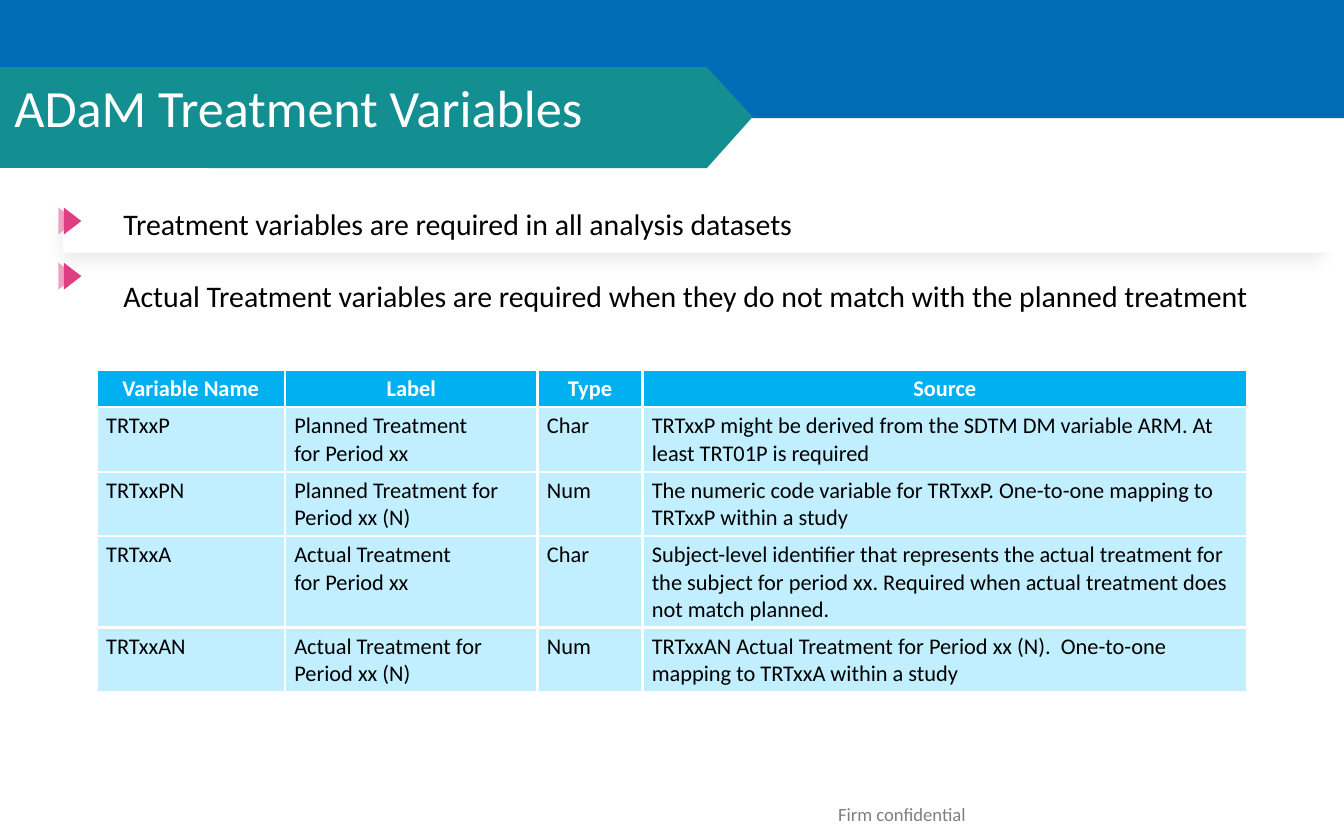
from lxml.etree import SubElement
from pptx import Presentation
from pptx.dml.color import RGBColor
from pptx.enum.shapes import MSO_SHAPE
from pptx.enum.text import MSO_ANCHOR, MSO_AUTO_SIZE, PP_ALIGN
from pptx.oxml import parse_xml
from pptx.oxml.ns import nsdecls, qn
from pptx.util import Inches, Pt

TITLE = "ADaM Treatment Variables"
POINTS = [
    "Treatment variables are required in all analysis datasets",
    "Actual Treatment variables are required when they do not match with the planned treatment",
]
ROWS = [
    ("Variable Name", "Label", "Type", "Source"),
    ("TRTxxP", "Planned Treatment\nfor Period xx", "Char",
     "TRTxxP might be derived from the SDTM DM variable ARM. At least TRT01P is required"),
    ("TRTxxPN", "Planned Treatment for Period xx (N)", "Num",
     "The numeric code variable for TRTxxP. One-to-one mapping to TRTxxP within a study"),
    ("TRTxxA", "Actual Treatment\nfor Period xx", "Char",
     "Subject-level identifier that represents the actual treatment for the subject "
     "for period xx. Required when actual treatment does not match planned."),
    ("TRTxxAN", "Actual Treatment for Period xx (N)", "Num",
     "TRTxxAN Actual Treatment for Period xx (N).  One-to-one mapping to TRTxxA within a study"),
]
FOOTER = "Firm confidential"
COLS = [1.4, 1.88, 0.78, 4.5]
LINES = [1, 2, 2, 3, 2]

FONT = "Calibri"
WHITE = RGBColor(0xFF, 0xFF, 0xFF)
BLACK = RGBColor(0, 0, 0)
GRAY = RGBColor(0x80, 0x80, 0x80)
PALE = RGBColor(0xF2, 0xF2, 0xF2)
BLUE = RGBColor(0x00, 0x6B, 0xB6)
TEAL = RGBColor(0x13, 0x8F, 0x91)
ROSE = RGBColor(0xEF, 0xA3, 0xC4)
PINK = RGBColor(0xDF, 0x3E, 0x82)
SKY = RGBColor(0x00, 0xB0, 0xF0)
ICE = RGBColor(0xC1, 0xEF, 0xFF)

deck = Presentation()
deck.slide_width, deck.slide_height = Inches(10), Inches(6.25)
page = deck.slides.add_slide(deck.slide_layouts[5])
shapes = page.shapes


def paint(shape, color):
    shape.shadow.inherit = False
    shape.fill.solid()
    shape.fill.fore_color.rgb = color
    shape.line.fill.background()
    return shape


def block(kind, color, *box):
    return paint(shapes.add_shape(kind, *map(Inches, box)), color)


def write(para, text, size, color, bold=False, align=PP_ALIGN.LEFT):
    para.alignment = align
    run = para.add_run()
    run.text = text
    font = run.font
    font.name, font.size, font.bold = FONT, Pt(size), bold
    font.color.rgb = color


def place(shape, *box):
    shape.left, shape.top, shape.width, shape.height = map(Inches, box)


def edge(cell):
    props = cell._tc.get_or_add_tcPr()
    for i, side in enumerate(("lnL", "lnR", "lnT", "lnB")):
        props.insert(i, parse_xml(
            f'<a:{side} {nsdecls("a")} w="{Pt(1.5)}"><a:solidFill>'
            f'<a:srgbClr val="{WHITE}"/></a:solidFill></a:{side}>'))


RECT = MSO_SHAPE.RECTANGLE
block(RECT, BLUE, 0, 0, 10, 0.88)
block(RECT, TEAL, 0, 0.5, 2.46, 0.75)
pen = shapes.build_freeform(Inches(1.55), Inches(0.5))
pen.add_line_segments([(Inches(x), Inches(y)) for x, y in
                       ((5.26, 0.5), (5.6, 0.87), (5.26, 1.25), (1.55, 1.25))])
paint(pen.convert_to_shape(), TEAL)

strip = block(RECT, PALE, 0.48, 1.54, 9.34, 0.34)
glow = SubElement(strip._element.spPr.find(qn("a:effectLst")), qn("a:outerShdw"),
                  blurRad=str(Pt(10)), dist=str(Pt(3)), dir="5400000",
                  algn="t", rotWithShape="0")
tint = SubElement(glow, qn("a:srgbClr"), val="000000")
SubElement(tint, qn("a:alpha"), val="10000")
block(RECT, WHITE, 0.47, 1.32, 9.49, 0.56)

for i in range(len(POINTS)):
    for left, color in ((0.4, ROSE), (0.44, PINK)):
        mark = block(MSO_SHAPE.ISOSCELES_TRIANGLE, color, left, 1.58 + 0.41 * i, 0.2, 0.13)
        mark.rotation = 90

title = shapes.title
title.element.getparent().append(title.element)
place(title, 0, 0.5, 4.44, 0.59)
frame = title.text_frame
frame.auto_size = MSO_AUTO_SIZE.NONE
frame.word_wrap = False
frame.vertical_anchor = MSO_ANCHOR.MIDDLE
write(frame.paragraphs[0], TITLE, 28, WHITE, align=PP_ALIGN.CENTER)

frame = shapes.add_textbox(*map(Inches, (0.82, 1.48, 9.18, 0.72))).text_frame
frame.word_wrap = True
for i, text in enumerate(POINTS):
    para = frame.add_paragraph() if i else frame.paragraphs[0]
    para.line_spacing = 1.0 + i
    write(para, text, 16, BLACK)

grid = shapes.add_table(len(ROWS), len(COLS), Inches(0.72), Inches(2.75),
                        Inches(sum(COLS)), Inches(2.4)).table
for col, width in zip(grid.columns, COLS):
    col.width = Inches(width)
for r, (row, count) in enumerate(zip(ROWS, LINES)):
    grid.rows[r].height = Inches(0.07 + 0.2 * count)
    head = r == 0
    for c, text in enumerate(row):
        cell = grid.cell(r, c)
        cell.margin_left = cell.margin_right = Inches(0.07)
        cell.margin_top = cell.margin_bottom = Inches(0.04)
        cell.vertical_anchor = MSO_ANCHOR.MIDDLE if head else MSO_ANCHOR.TOP
        cell.fill.solid()
        cell.fill.fore_color.rgb = SKY if head else ICE
        edge(cell)
        for n, part in enumerate(text.split("\n")):
            frame = cell.text_frame
            para = frame.add_paragraph() if n else frame.paragraphs[0]
            write(para, part, 12, WHITE if head else BLACK, head,
                  PP_ALIGN.CENTER if head else PP_ALIGN.LEFT)

frame = shapes.add_textbox(*map(Inches, (5.17, 5.94, 3.08, 0.23))).text_frame
frame.word_wrap = False
frame.vertical_anchor = MSO_ANCHOR.MIDDLE
write(frame.paragraphs[0], FOOTER, 10, GRAY, align=PP_ALIGN.CENTER)

deck.save("out.pptx")
